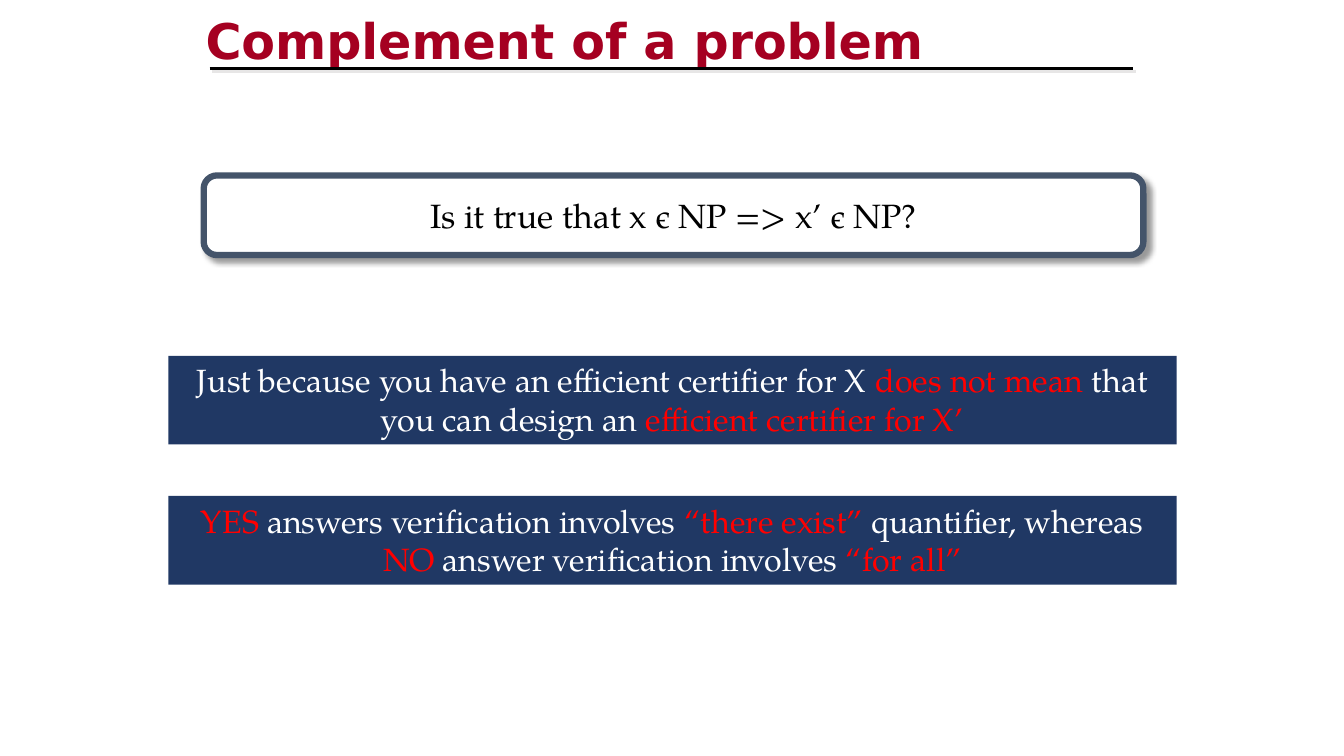
from lxml import etree
from pptx import Presentation
from pptx.dml.color import RGBColor
from pptx.enum.shapes import MSO_CONNECTOR, MSO_SHAPE
from pptx.enum.text import MSO_ANCHOR, MSO_AUTO_SIZE, PP_ALIGN
from pptx.oxml.ns import qn
from pptx.util import Inches, Pt

RECTANGLE = MSO_SHAPE.RECTANGLE
ROUNDED = MSO_SHAPE.ROUNDED_RECTANGLE
STRAIGHT = MSO_CONNECTOR.STRAIGHT
TOP, MIDDLE = MSO_ANCHOR.TOP, MSO_ANCHOR.MIDDLE
CENTER = PP_ALIGN.CENTER
GROW = MSO_AUTO_SIZE.SHAPE_TO_FIT_TEXT

COLORS = {
    "title": "A50021",
    "black": "000000",
    "white": "FFFFFF",
    "red": "FF0000",
    "navy": "203864",
    "slate": "44546A",
    "light_gray": "E7E6E6",
}


def rgb(name):
    return RGBColor.from_string(COLORS[name])


def make_shadow(color, opacity, blur, distance):
    """Return an effect list with a shadow cast down and to the right."""
    effects = etree.Element(qn("a:effectLst"))
    shadow = etree.SubElement(
        effects, qn("a:outerShdw"), blurRad=str(Pt(blur)),
        dist=str(Pt(distance)), dir=str(45 * 60000), algn="tl", rotWithShape="0")
    tint = etree.SubElement(shadow, qn("a:srgbClr"), val=COLORS[color])
    etree.SubElement(tint, qn("a:alpha"), val=str(opacity * 1000))
    return effects


class SlideBuilder:
    title_font = "DejaVu Sans"
    body_font = "TeX Gyre Pagella"

    def __init__(self, slide):
        self.shapes = slide.shapes

    def add_span(self, para, text, font, size, color):
        span = para.add_run()
        span.text = text
        span.font.size = Pt(size)
        span.font.color.rgb = rgb(color)
        span.font.name = font
        return span

    def add_title(self, text, left, top, width, height):
        box = self.shapes.add_textbox(
            Inches(left), Inches(top), Inches(width), Inches(height))
        frame = box.text_frame
        frame.word_wrap = True
        frame.vertical_anchor = TOP
        frame.margin_top = Inches(0.09)
        frame.margin_bottom = 0
        span = self.add_span(
            frame.paragraphs[0], text, self.title_font, 35.1, "title")
        span.font.bold = True
        fill = span.font._element.find(qn("a:solidFill"))
        fill.addnext(make_shadow("light_gray", 100, 0, 2.8))

    def add_rule(self, left, right, top):
        rule = self.shapes.add_connector(
            STRAIGHT, Inches(left), Inches(top), Inches(right), Inches(top))
        rule.line.color.rgb = rgb("black")
        rule.line.width = Pt(2.25)
        rule._element.spPr.append(make_shadow("light_gray", 100, 0, 2.8))

    def add_box(self, kind, left, top, width, height, fill, size, spans):
        """Add a filled box with one centred paragraph of (text, color) spans."""
        box = self.shapes.add_shape(
            kind, Inches(left), Inches(top), Inches(width), Inches(height))
        box.shadow.inherit = False
        box.fill.solid()
        box.fill.fore_color.rgb = rgb(fill)
        box.line.fill.background()
        para = box.text_frame.paragraphs[0]
        para.alignment = CENTER
        for text, color in spans:
            self.add_span(para, text, self.body_font, size, color)
        return box

    def add_question(self, text, left, top, width, height):
        box = self.add_box(ROUNDED, left, top, width, height,
                           "white", 24, [(text, "black")])
        box.adjustments[0] = 0.167
        box.line.color.rgb = rgb("slate")
        box.line.width = Pt(4.5)
        box.text_frame.vertical_anchor = MIDDLE
        box.text_frame.word_wrap = False
        properties = box._element.spPr
        properties.remove(properties.find(qn("a:effectLst")))
        properties.append(make_shadow("black", 40, 4, 4))

    def add_statement(self, spans, top):
        box = self.add_box(RECTANGLE, 1.67, top, 10, 0.88, "navy", 23, spans)
        box.text_frame.vertical_anchor = TOP
        box.text_frame.word_wrap = True
        box.text_frame.auto_size = GROW


def main():
    deck = Presentation()
    deck.slide_width, deck.slide_height = Inches(13.33), Inches(7.5)
    page = SlideBuilder(deck.slides.add_slide(deck.slide_layouts[6]))

    page.add_title("Complement of a problem", 1.94, 0.01, 8.5, 0.67)
    page.add_rule(2.08, 11.24, 0.68)
    page.add_question("Is it true that x є NP => x’ є NP?", 2.02, 1.74, 9.32, 0.79)
    page.add_statement([
        ("Just because you have an efficient certifier for X ", "white"),
        ("does not mean ", "red"),
        ("that you can design an ", "white"),
        ("efficient certifier for X’", "red"),
    ], top=3.53)
    page.add_statement([
        ("YES", "red"),
        (" answers verification involves ", "white"),
        ("“there exist” ", "red"),
        ("quantifier, whereas ", "white"),
        ("NO ", "red"),
        ("answer verification involves ", "white"),
        ("“for all”", "red"),
    ], top=4.92)

    deck.save("out.pptx")


if __name__ == "__main__":
    main()
